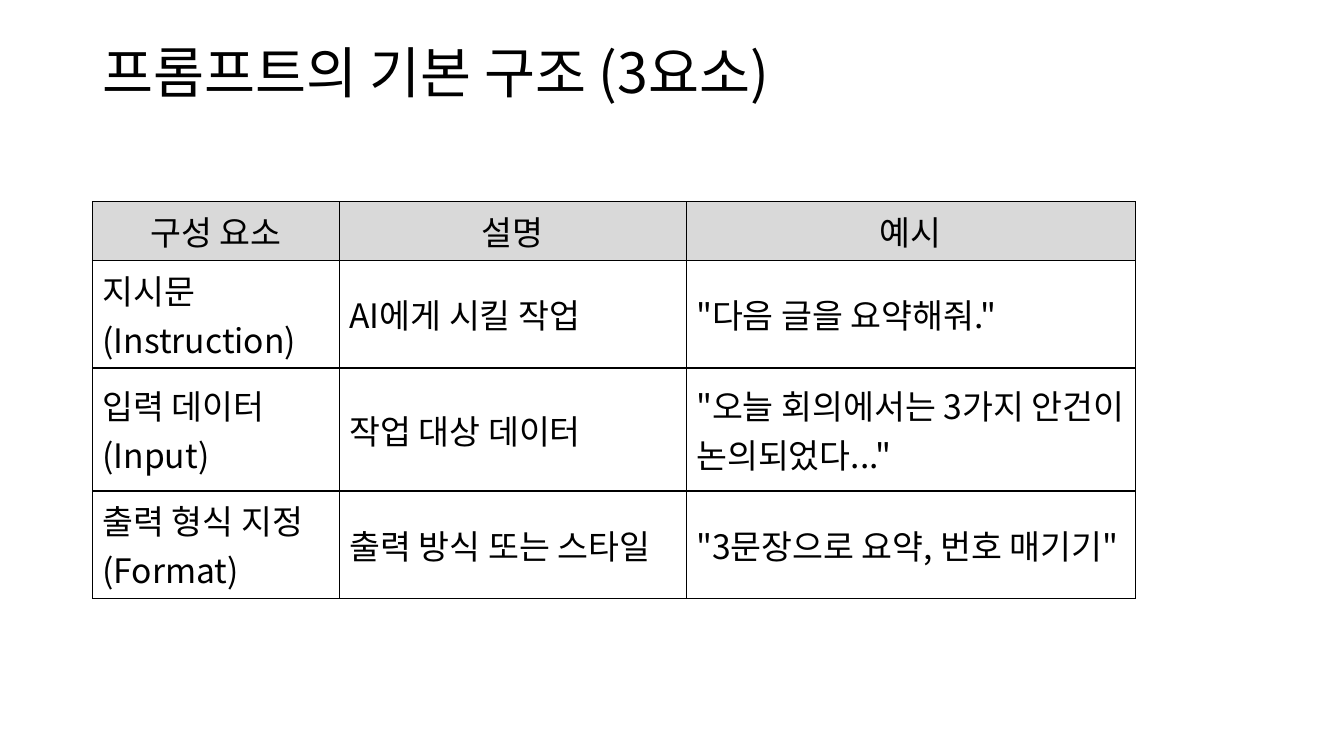
from dataclasses import dataclass

from lxml.etree import SubElement
from pptx import Presentation
from pptx.dml.color import RGBColor
from pptx.enum.text import MSO_ANCHOR as Anchor, MSO_AUTO_SIZE as AutoSize, PP_ALIGN as Align
from pptx.oxml import parse_xml
from pptx.oxml.ns import nsdecls, qn
from pptx.util import Pt


@dataclass(frozen=True)
class Theme:
    font: str = "Noto Sans CJK KR"
    ink: str = "000000"
    header: str = "D9D9D9"
    title_size: float = 39.6
    table_size: float = 24
    border: float = 1


class SlideBuilder:
    def __init__(self, deck, theme):
        self.theme = theme
        self.slide = deck.slides.add_slide(deck.slide_layouts[5])

    def add_span(self, para, text, size):
        span = para.add_run()
        span.text = text
        span.font.size = Pt(size)
        span.font.bold = False
        span.font.color.rgb = RGBColor.from_string(self.theme.ink)
        span.font.name = self.theme.font
        SubElement(span.font._element, qn("a:ea"), typeface=self.theme.font)

    def title(self, text, left, top, width, height):
        box = self.slide.shapes.title
        box.left, box.top, box.width, box.height = map(Pt, (left, top, width, height))
        frame = box.text_frame
        frame.word_wrap = True
        frame.auto_size = AutoSize.NONE
        frame.vertical_anchor = Anchor.MIDDLE
        para = frame.paragraphs[0]
        para.alignment = Align.LEFT
        para.line_spacing = 0.9
        self.add_span(para, text, self.theme.title_size)

    def outline(self, cell):
        properties = cell._tc.get_or_add_tcPr()
        for position, side in enumerate("LRTB"):
            properties.insert(position, parse_xml(
                f'<a:ln{side} {nsdecls("a")} w="{Pt(self.theme.border)}">'
                f'<a:solidFill><a:srgbClr val="{self.theme.ink}"/></a:solidFill>'
                f'</a:ln{side}>'))

    def cell(self, cell, text, is_header):
        cell.vertical_anchor = Anchor.MIDDLE
        para = cell.text_frame.paragraphs[0]
        para.alignment = Align.CENTER if is_header else Align.LEFT
        self.add_span(para, text, self.theme.table_size)
        if is_header:
            cell.fill.solid()
            cell.fill.fore_color.rgb = RGBColor.from_string(self.theme.header)
        else:
            cell.fill.background()
        self.outline(cell)

    def table(self, rows, left, top, widths, heights):
        frame = self.slide.shapes.add_table(
            len(rows), len(widths), Pt(left), Pt(top), Pt(sum(widths)), Pt(sum(heights)))
        table = frame.table
        table.first_row = False
        table.horz_banding = False
        for column, width in zip(table.columns, widths):
            column.width = Pt(width)
        for row_index, (row, height) in enumerate(zip(rows, heights)):
            table.rows[row_index].height = Pt(height)
            for column_index, text in enumerate(row):
                self.cell(table.cell(row_index, column_index), text, row_index == 0)


PROMPT_PARTS = [
    ("구성 요소", "설명", "예시"),
    ("지시문 (Instruction)", "AI에게 시킬 작업", '"다음 글을 요약해줘."'),
    ("입력 데이터 (Input)", "작업 대상 데이터", '"오늘 회의에서는 3가지 안건이 논의되었다..."'),
    ("출력 형식 지정 (Format)", "출력 방식 또는 스타일", '"3문장으로 요약, 번호 매기기"'),
]


def main():
    deck = Presentation()
    deck.slide_width, deck.slide_height = Pt(960), Pt(540)
    builder = SlideBuilder(deck, Theme())
    builder.title("프롬프트의 기본 구조 (3요소)", 66, 28.8, 828, 49.7)
    builder.table(PROMPT_PARTS, 66, 144, (176.4, 247.7, 321.1), (34.6, 59.8, 87.8, 61.2))
    deck.save("out.pptx")


if __name__ == "__main__":
    main()
